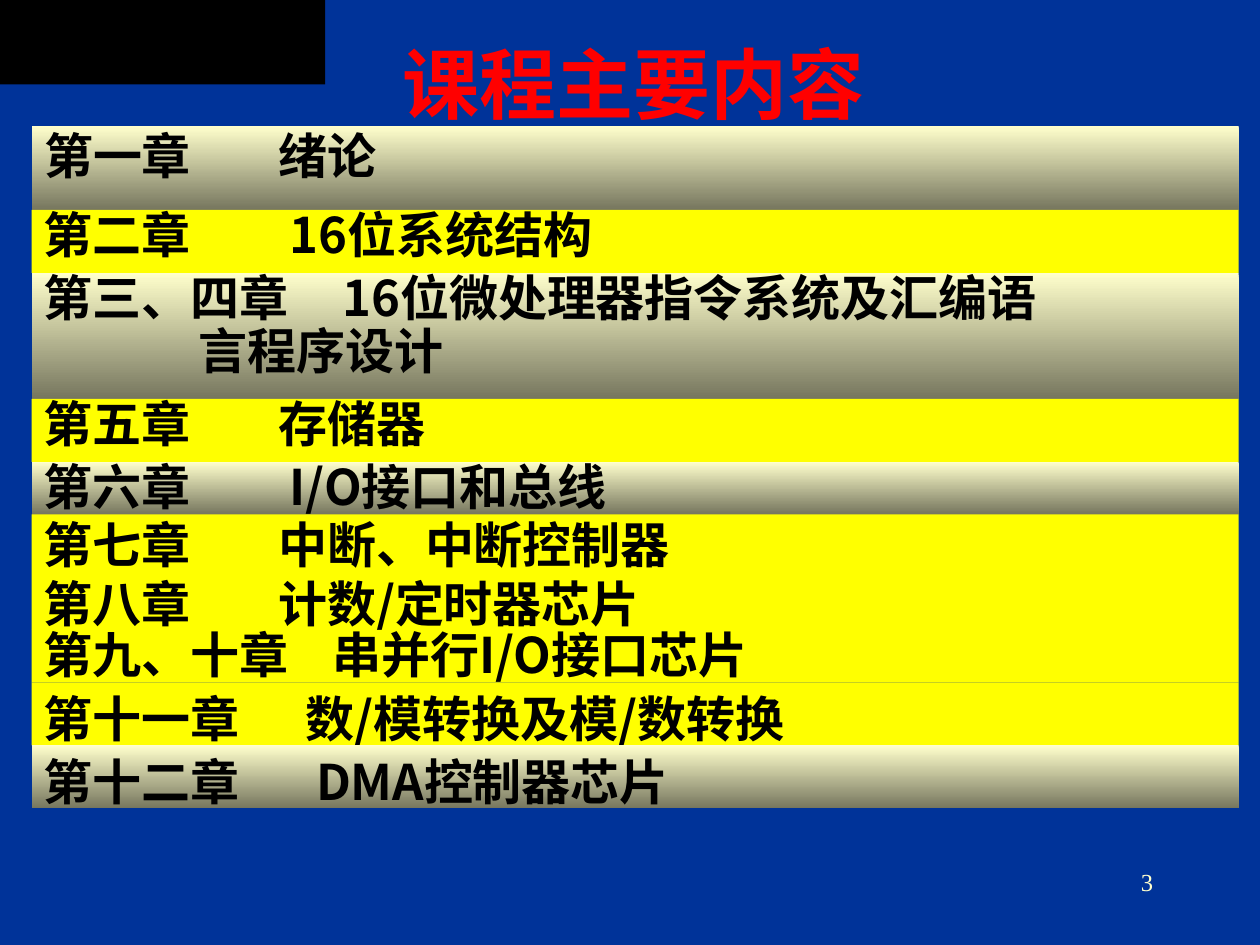
from pptx import Presentation
from pptx.dml.color import RGBColor
from pptx.enum.shapes import MSO_SHAPE
from pptx.enum.text import MSO_ANCHOR, MSO_AUTO_SIZE, PP_ALIGN
from pptx.oxml.ns import qn
from pptx.util import Inches, Pt

RECTANGLE = MSO_SHAPE.RECTANGLE
TOP, BOTTOM = MSO_ANCHOR.TOP, MSO_ANCHOR.BOTTOM
NO_AUTOFIT = MSO_AUTO_SIZE.NONE
LEFT, CENTER, RIGHT = PP_ALIGN.LEFT, PP_ALIGN.CENTER, PP_ALIGN.RIGHT
CJK_FONT = "Noto Sans CJK SC"


def color(value):
    return RGBColor.from_string(value)


def write(paragraph, text, font_color, **font_format):
    """Add one formatted run, with the font used for Chinese characters too."""
    run = paragraph.add_run()
    run.text = text
    for name, value in font_format.items():
        setattr(run.font, name, value)
    run.font.color.rgb = color(font_color)
    east_asian = run.font._element.makeelement(qn("a:ea"), {"typeface": font_format["name"]})
    run.font._element.find(qn("a:latin")).addnext(east_asian)


presentation = Presentation()
presentation.slide_width = Inches(10)
presentation.slide_height = Inches(7.5)
slide = presentation.slides.add_slide(presentation.slide_layouts[1])
slide.background.fill.solid()
slide.background.fill.fore_color.rgb = color("003399")

corner = slide.shapes.add_shape(RECTANGLE, 0, 0, Inches(2.58), Inches(0.67))
corner.shadow.inherit = False
corner.fill.solid()
corner.fill.fore_color.rgb = color("000000")
corner.line.fill.background()

title = slide.shapes.title
title.left, title.top = Inches(1.99), Inches(0.24)
title.width, title.height = Inches(6.08), Inches(0.83)
title.text_frame.auto_size = NO_AUTOFIT
title.text_frame.vertical_anchor = BOTTOM
title.text_frame.paragraphs[0].alignment = CENTER
write(title.text_frame.paragraphs[0], "课程主要内容", "FF0000", name=CJK_FONT, size=Pt(44), bold=True)

# Band height in twelfths of an inch, shaded or yellow, line spacing,
# then the lines: chapter, topic and where the topic starts
bands = [
    (8, True, 0.9, [("第一章", "绪论", 1.86)]),
    (6, False, 0.8, [("第二章", "16位系统结构", 1.95)]),
    (12, True, 0.8, [("第三、四章", "16位微处理器指令系统及汇编语", 2.37),
                     ("", "言程序设计", 1.23)]),
    (6, False, 0.8, [("第五章", "存储器", 1.86)]),
    (5, True, 0.8, [("第六章", "I/O接口和总线", 1.95)]),
    (11, False, 0.9, [("第七章", "中断、中断控制器", 1.86),
                      ("第八章", "计数/定时器芯片", 1.86)]),
    (5, False, 0.8, [("第九、十章", "串并行I/O接口芯片", 2.29)]),
    (6, False, 1.0, [("第十一章", "数/模转换及模/数转换", 2.08)]),
    (6, True, 1.0, [("第十二章", "DMA控制器芯片", 2.16)]),
]

top = Inches(1)
for number, (twelfths, shaded, line_spacing, lines) in enumerate(bands):
    height = Inches(twelfths / 12)
    if number == 0:
        band = slide.placeholders[1]
        band.left, band.top, band.width, band.height = Inches(0.25), top, Inches(9.58), height
    else:
        band = slide.shapes.add_shape(RECTANGLE, Inches(0.25), top, Inches(9.58), height)
        band.shadow.inherit = False
    top += height
    band.line.fill.background()
    if shaded:
        band.fill.gradient()
        band.fill.gradient_angle = 270
        for stop, (position, value) in zip(band.fill.gradient_stops, [(0, "FFFFCC"), (1, "76765E")]):
            stop.position = position
            stop.color.rgb = color(value)
    else:
        band.fill.solid()
        band.fill.fore_color.rgb = color("FFFF00")

    text_frame = band.text_frame
    text_frame.word_wrap = True
    text_frame.auto_size = NO_AUTOFIT
    text_frame.vertical_anchor = TOP
    for index, (chapter, topic, topic_start) in enumerate(lines):
        paragraph = text_frame.add_paragraph() if index else text_frame.paragraphs[0]
        paragraph.alignment = LEFT
        paragraph.line_spacing = line_spacing
        paragraph.space_before = Pt(3.5 if index else 0)
        # A hanging indent lets the tab carry the topic to its start
        properties = paragraph._p.get_or_add_pPr()
        properties.set("marL", str(Inches(topic_start)))
        properties.set("indent", str(-Inches(topic_start) if chapter else 0))
        properties.append(properties.makeelement(qn("a:buNone"), {}))
        text = f"{chapter}\t{topic}" if chapter else topic
        write(paragraph, text, "000000", name=CJK_FONT, size=Pt(28), bold=True)

page_number = slide.shapes.add_textbox(Inches(7.17), Inches(6.83), Inches(2.08), Inches(0.5))
page_number.text_frame.word_wrap = True
page_number.text_frame.paragraphs[0].alignment = RIGHT
write(page_number.text_frame.paragraphs[0], "3", "FFFFCC", name="Times New Roman", size=Pt(14))

presentation.save("out.pptx")
